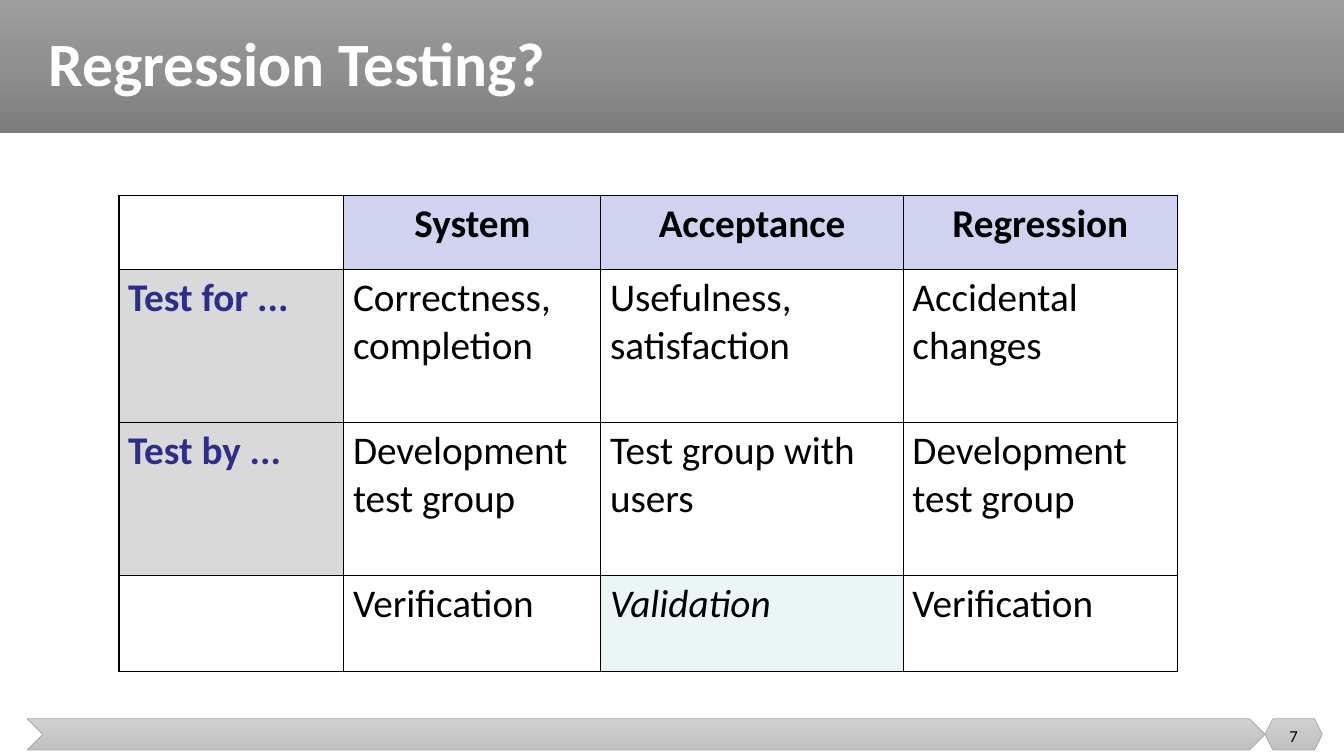
from dataclasses import dataclass
from typing import Any

from lxml.etree import SubElement
from pptx import Presentation
from pptx.dml.color import RGBColor
from pptx.enum.shapes import MSO_SHAPE as Preset
from pptx.enum.text import MSO_ANCHOR as Anchor, PP_ALIGN as Align
from pptx.oxml.ns import qn
from pptx.util import Pt

BLACK = "000000"
WHITE = "FFFFFF"
NAVY = "2D2D8A"
LAVENDER = "D1D1F0"
GREY = "D9D9D9"
MINT = "DAEDEF"
HEADER_SHADES = ("9D9D9D", "909090", "7C7C7C")
FOOTER_SHADES = ("D2D2D2", "C8C8C8", "C0C0C0")
COLUMN_WIDTHS = (160.6, 183.6, 216, 195.8)
ROW_HEIGHTS = (52.6, 109.4, 109.4, 68.4)


@dataclass(frozen=True)
class Area:
    left: float
    top: float
    width: float
    height: float

    def lengths(self) -> tuple[Pt, Pt, Pt, Pt]:
        return Pt(self.left), Pt(self.top), Pt(self.width), Pt(self.height)


@dataclass(frozen=True)
class Band:
    preset: Preset
    area: Area
    shades: tuple[str, ...]
    outline: str = ""


@dataclass(frozen=True)
class Entry:
    text: str = ""
    fill: str = ""
    opacity: int = 100
    color: str = BLACK
    bold: bool = False
    italic: bool = False
    align: Align = Align.LEFT


BANDS = (
    Band(Preset.RECTANGLE, Area(0, 0, 960, 95), HEADER_SHADES),
    Band(Preset.CHEVRON, Area(19.4, 513.4, 884.2, 22.3), FOOTER_SHADES, "A5A5A5"),
    Band(Preset.HEXAGON, Area(903.6, 513.4, 41, 22.3), FOOTER_SHADES, "A5A5A5"),
)


def heading(text: str) -> Entry:
    return Entry(text, LAVENDER, bold=True, align=Align.CENTER)


def question(text: str) -> Entry:
    return Entry(text, GREY, color=NAVY, bold=True)


ENTRIES = (
    (Entry(), heading("System"), heading("Acceptance"), heading("Regression")),
    (question("Test for ..."), Entry("Correctness, completion"),
     Entry("Usefulness, satisfaction"), Entry("Accidental changes")),
    (question("Test by ..."), Entry("Development test group"),
     Entry("Test group with users"), Entry("Development test group")),
    (Entry(), Entry("Verification"),
     Entry("Validation", MINT, opacity=51, italic=True), Entry("Verification")),
)


def rgb(color: str) -> RGBColor:
    return RGBColor.from_string(color)


def write(frame: Any, text: str, *, size: float, color: str = BLACK, bold: bool = False,
          italic: bool = False, align: Align = Align.LEFT, spacing: float = 1) -> None:
    para = frame.paragraphs[0]
    para.alignment = align
    para.line_spacing = spacing
    span = para.add_run()
    span.text = text
    span.font.name = "Calibri"
    span.font.size = Pt(size)
    span.font.bold = bold
    span.font.italic = italic
    span.font.color.rgb = rgb(color)


def add_label(page: Any, area: Area, text: str, **style: Any) -> None:
    frame = page.shapes.add_textbox(*area.lengths()).text_frame
    frame.word_wrap = True
    frame.vertical_anchor = Anchor.MIDDLE
    write(frame, text, **style)


def add_band(page: Any, band: Band) -> None:
    shape = page.shapes.add_shape(band.preset, *band.area.lengths())
    shape.shadow.inherit = False
    shape.fill.gradient()
    shape.fill.gradient_angle = 270
    stops = shape.element.spPr.find(qn("a:gradFill")).find(qn("a:gsLst"))
    for stop in list(stops):
        stops.remove(stop)
    for index, shade in enumerate(band.shades):
        position = index * 100000 // (len(band.shades) - 1)
        stop = SubElement(stops, qn("a:gs"), pos=str(position))
        SubElement(stop, qn("a:srgbClr"), val=shade)
    if band.outline:
        shape.line.color.rgb = rgb(band.outline)
        shape.line.width = Pt(0.5)
    else:
        shape.line.fill.background()


def add_borders(properties: Any) -> None:
    for side in ("lnL", "lnR", "lnT", "lnB"):
        border = SubElement(properties, qn(f"a:{side}"), w=str(Pt(1)))
        paint = SubElement(border, qn("a:solidFill"))
        SubElement(paint, qn("a:srgbClr"), val=BLACK)


def fill_cell(cell: Any, entry: Entry) -> None:
    properties = cell._tc.get_or_add_tcPr()
    add_borders(properties)
    cell.margin_left = cell.margin_right = Pt(6.6)
    cell.margin_top = cell.margin_bottom = Pt(3.6)
    if entry.fill:
        cell.fill.solid()
        cell.fill.fore_color.rgb = rgb(entry.fill)
    else:
        cell.fill.background()
    if entry.opacity < 100:
        paint = properties.find(qn("a:solidFill")).find(qn("a:srgbClr"))
        SubElement(paint, qn("a:alpha"), val=str(entry.opacity * 1000))
    if entry.text:
        write(cell.text_frame, entry.text, size=28, color=entry.color, bold=entry.bold,
              italic=entry.italic, align=entry.align)


def add_comparison(page: Any) -> None:
    area = Area(85, 139.7, sum(COLUMN_WIDTHS), sum(ROW_HEIGHTS))
    table = page.shapes.add_table(
        len(ROW_HEIGHTS), len(COLUMN_WIDTHS), *area.lengths()).table
    table.first_row = False
    table.horz_banding = False
    for column, width in zip(table.columns, COLUMN_WIDTHS):
        column.width = Pt(width)
    for row, height, entries in zip(table.rows, ROW_HEIGHTS, ENTRIES):
        row.height = Pt(height)
        for cell, entry in zip(row.cells, entries):
            fill_cell(cell, entry)


def main() -> None:
    deck = Presentation()
    deck.slide_width, deck.slide_height = Pt(960), Pt(540)
    page = deck.slides.add_slide(deck.slide_layouts[6])
    for band in BANDS:
        add_band(page, band)
    add_label(page, Area(27.4, 0, 917.2, 95), "Regression Testing?",
              size=44, color=WHITE, bold=True, spacing=0.9)
    add_comparison(page)
    add_label(page, Area(903.6, 511.2, 41, 28.8), "7", size=12, align=Align.CENTER)
    deck.save("out.pptx")


if __name__ == "__main__":
    main()
